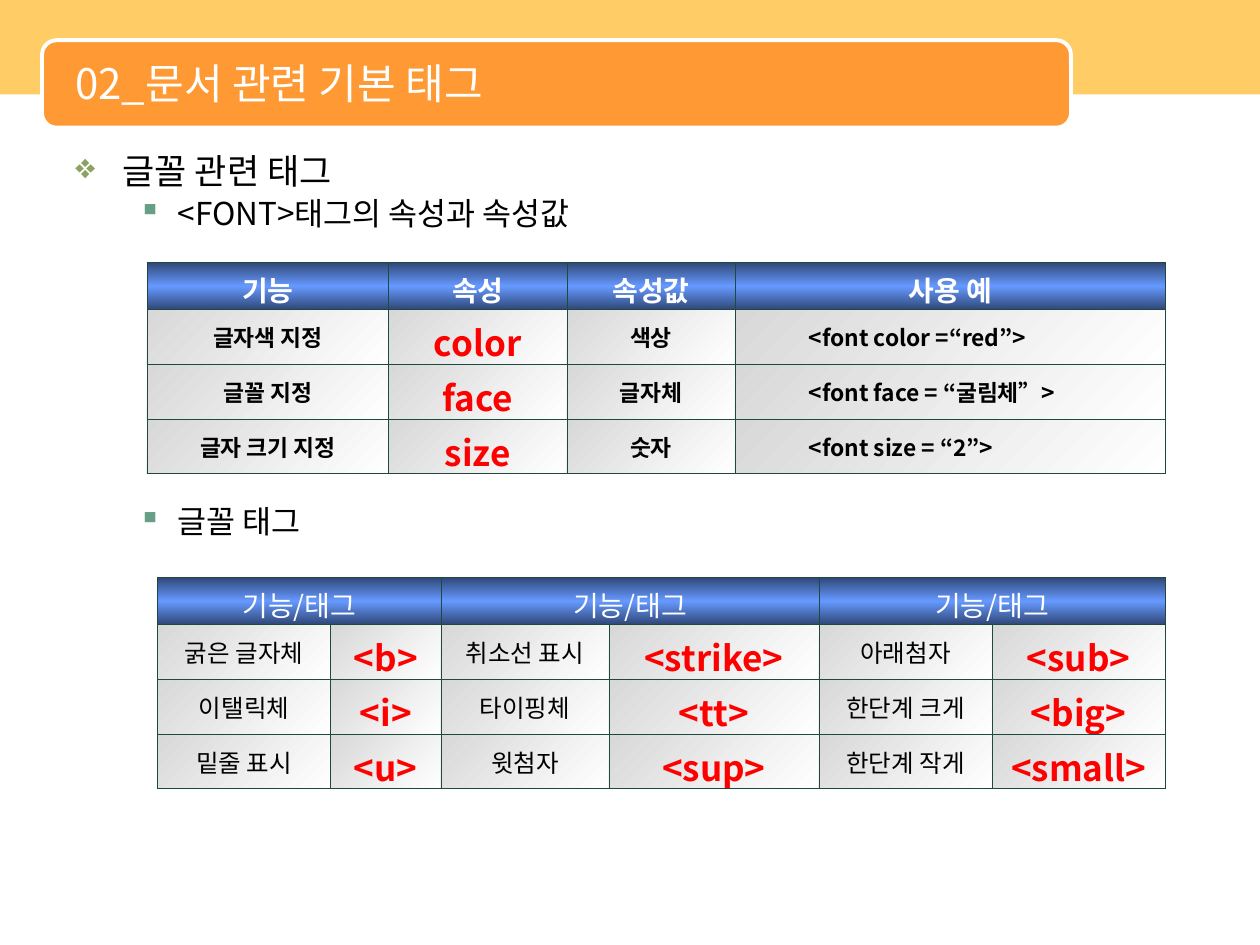
from dataclasses import dataclass

from lxml.etree import SubElement
from pptx import Presentation
from pptx.dml.color import RGBColor
from pptx.enum.shapes import MSO_SHAPE
from pptx.enum.text import MSO_ANCHOR, PP_ALIGN
from pptx.oxml.ns import qn
from pptx.util import Pt

FONT_NAME = "Noto Sans CJK KR"
WHITE = RGBColor(0xFF, 0xFF, 0xFF)
BLACK = RGBColor(0x00, 0x00, 0x00)
RED = RGBColor(0xFF, 0x00, 0x00)
BAND_YELLOW = RGBColor(0xFF, 0xCC, 0x66)
BANNER_ORANGE = RGBColor(0xFF, 0x99, 0x33)
BULLET_OLIVE = RGBColor(0x8C, 0xA3, 0x5F)
BULLET_GREEN = RGBColor(0x66, 0x9E, 0x86)
BORDER_GREEN = RGBColor(0x1D, 0x49, 0x40)
HEADER_DARK = RGBColor(0x2F, 0x47, 0x76)
HEADER_BLUE = RGBColor(0x66, 0x99, 0xFF)
CELL_GRAY = RGBColor(0xD8, 0xD8, 0xD8)

HEADER_HEIGHT, ROW_HEIGHT = 27, 31
BORDER_WIDTH = 0.45
EXAMPLE_INDENT = 35


@dataclass(frozen=True)
class TextStyle:
    size: float
    color: RGBColor
    bold: bool = False
    align: PP_ALIGN = PP_ALIGN.CENTER
    indent: float = 0


@dataclass(frozen=True)
class Gradient:
    colors: tuple[RGBColor, ...]
    angle: int


@dataclass(frozen=True)
class OutlineItem:
    text: str
    size: float
    bullet: str
    bullet_color: RGBColor
    margin: float
    hanging: float
    space_before: float


@dataclass(frozen=True)
class TagTable:
    left: float
    top: float
    widths: tuple[float, ...]
    headers: tuple[str, ...]
    rows: tuple[tuple[str, ...], ...]
    header_style: TextStyle
    column_styles: tuple[TextStyle, ...]


HEADER_FILL = Gradient((HEADER_DARK, HEADER_BLUE, HEADER_DARK), 90)
CELL_FILL = Gradient((CELL_GRAY, WHITE), 45)

TITLE_STYLE = TextStyle(24, WHITE, align=PP_ALIGN.LEFT)
TAG_STYLE = TextStyle(20, RED, bold=True)
LABEL_STYLE = TextStyle(13, BLACK, bold=True)
EXAMPLE_STYLE = TextStyle(13, BLACK, True, PP_ALIGN.LEFT, EXAMPLE_INDENT)
PLAIN_STYLE = TextStyle(14, BLACK)

OUTLINE = (
    OutlineItem("글꼴 관련 태그", 20, "❖", BULLET_OLIVE, 27, 27, 0),
    OutlineItem("<FONT>태그의 속성과 속성값", 18, "▪", BULLET_GREEN, 58.5, 22.5, 4.5),
    OutlineItem("글꼴 태그", 18, "▪", BULLET_GREEN, 58.5, 22.5, 157),
)

TABLES = (
    TagTable(
        84, 150, (138, 102, 96, 246),
        ("기능", "속성", "속성값", "사용 예"),
        (
            ("글자색 지정", "color", "색상", "<font color =“red”>"),
            ("글꼴 지정", "face", "글자체", "<font face = “굴림체”>"),
            ("글자 크기 지정", "size", "숫자", "<font size = “2”>"),
        ),
        TextStyle(16, WHITE, bold=True),
        (LABEL_STYLE, TAG_STYLE, LABEL_STYLE, EXAMPLE_STYLE),
    ),
    TagTable(
        90, 330, (99, 63, 96, 120, 99, 99),
        ("기능/태그",) * 3,
        (
            ("굵은 글자체", "<b>", "취소선 표시", "<strike>", "아래첨자", "<sub>"),
            ("이탤릭체", "<i>", "타이핑체", "<tt>", "한단계 크게", "<big>"),
            ("밑줄 표시", "<u>", "윗첨자", "<sup>", "한단계 작게", "<small>"),
        ),
        TextStyle(16, WHITE),
        (PLAIN_STYLE, TAG_STYLE) * 3,
    ),
)


def add_color(parent, color: RGBColor) -> None:
    SubElement(parent, qn("a:srgbClr"), val=str(color))


def write(paragraph, text: str, style: TextStyle) -> None:
    paragraph.text = text
    paragraph.alignment = style.align
    if style.indent:
        paragraph._p.get_or_add_pPr().set("marL", str(Pt(style.indent)))
    for run in paragraph.runs:
        run.font.size = Pt(style.size)
        run.font.bold = style.bold
        run.font.color.rgb = style.color
        run.font.name = FONT_NAME
        SubElement(run._r.get_or_add_rPr(), qn("a:ea"), typeface=FONT_NAME)


def add_panel(slide, kind, left, top, width, height, color: RGBColor):
    shape = slide.shapes.add_shape(kind, Pt(left), Pt(top), Pt(width), Pt(height))
    shape.shadow.inherit = False
    shape.fill.solid()
    shape.fill.fore_color.rgb = color
    shape.line.fill.background()
    return shape


def add_text_frame(slide, left, top, width, height, anchor):
    box = slide.shapes.add_textbox(Pt(left), Pt(top), Pt(width), Pt(height))
    box.text_frame.word_wrap = True
    box.text_frame.vertical_anchor = anchor
    return box.text_frame


def write_outline_item(paragraph, item: OutlineItem) -> None:
    write(paragraph, item.text, TextStyle(item.size, BLACK, align=PP_ALIGN.LEFT))
    paragraph.line_spacing = 0.87
    paragraph.space_before = Pt(item.space_before)
    properties = paragraph._p.get_or_add_pPr()
    properties.set("marL", str(Pt(item.margin)))
    properties.set("indent", str(-Pt(item.hanging)))
    add_color(SubElement(properties, qn("a:buClr")), item.bullet_color)
    SubElement(properties, qn("a:buChar"), char=item.bullet)


def paint_cell(cell, gradient: Gradient) -> None:
    properties = cell._tc.get_or_add_tcPr()
    for side in ("a:lnL", "a:lnR", "a:lnT", "a:lnB"):
        border = SubElement(properties, qn(side), w=str(Pt(BORDER_WIDTH)))
        add_color(SubElement(border, qn("a:solidFill")), BORDER_GREEN)
    fill = SubElement(properties, qn("a:gradFill"))
    stops = SubElement(fill, qn("a:gsLst"))
    for index, color in enumerate(gradient.colors):
        position = 100000 * index // (len(gradient.colors) - 1)
        add_color(SubElement(stops, qn("a:gs"), pos=str(position)), color)
    SubElement(fill, qn("a:lin"), ang=str(gradient.angle * 60000), scaled="0")


def add_tag_table(slide, data: TagTable) -> None:
    row_count, column_count = len(data.rows) + 1, len(data.widths)
    height = HEADER_HEIGHT + ROW_HEIGHT * len(data.rows)
    table = slide.shapes.add_table(
        row_count, column_count,
        Pt(data.left), Pt(data.top), Pt(sum(data.widths)), Pt(height),
    ).table
    table.first_row = table.horz_banding = False
    for column, width in zip(table.columns, data.widths):
        column.width = Pt(width)
    for index, row in enumerate(table.rows):
        row.height = Pt(ROW_HEIGHT if index else HEADER_HEIGHT)
        for cell in row.cells:
            cell.vertical_anchor = MSO_ANCHOR.MIDDLE
            paint_cell(cell, CELL_FILL if index else HEADER_FILL)

    # Each header covers an equal number of columns
    span = column_count // len(data.headers)
    for index, header in enumerate(data.headers):
        cell = table.cell(0, index * span)
        if span > 1:
            cell.merge(table.cell(0, (index + 1) * span - 1))
        write(cell.text_frame.paragraphs[0], header, data.header_style)

    for row_index, texts in enumerate(data.rows, start=1):
        for column_index, (text, style) in enumerate(zip(texts, data.column_styles)):
            cell = table.cell(row_index, column_index)
            write(cell.text_frame.paragraphs[0], text, style)


def main() -> None:
    presentation = Presentation()
    presentation.slide_width, presentation.slide_height = Pt(720), Pt(540)
    slide = presentation.slides.add_slide(presentation.slide_layouts[6])

    # Top band and title banner
    add_panel(slide, MSO_SHAPE.RECTANGLE, 0, 0, 720, 54, BAND_YELLOW)
    banner = add_panel(slide, MSO_SHAPE.ROUNDED_RECTANGLE, 24, 23, 588, 50, BANNER_ORANGE)
    banner.line.color.rgb = WHITE
    banner.line.width = Pt(2.25)
    title_frame = add_text_frame(slide, 36, 25, 570, 45, MSO_ANCHOR.MIDDLE)
    write(title_frame.paragraphs[0], "02_문서 관련 기본 태그", TITLE_STYLE)

    # Outline
    body_frame = add_text_frame(slide, 36, 85, 648, 419, MSO_ANCHOR.TOP)
    for index, item in enumerate(OUTLINE):
        paragraph = body_frame.add_paragraph() if index else body_frame.paragraphs[0]
        write_outline_item(paragraph, item)

    # Tables
    for data in TABLES:
        add_tag_table(slide, data)

    presentation.save("out.pptx")


if __name__ == "__main__":
    main()
